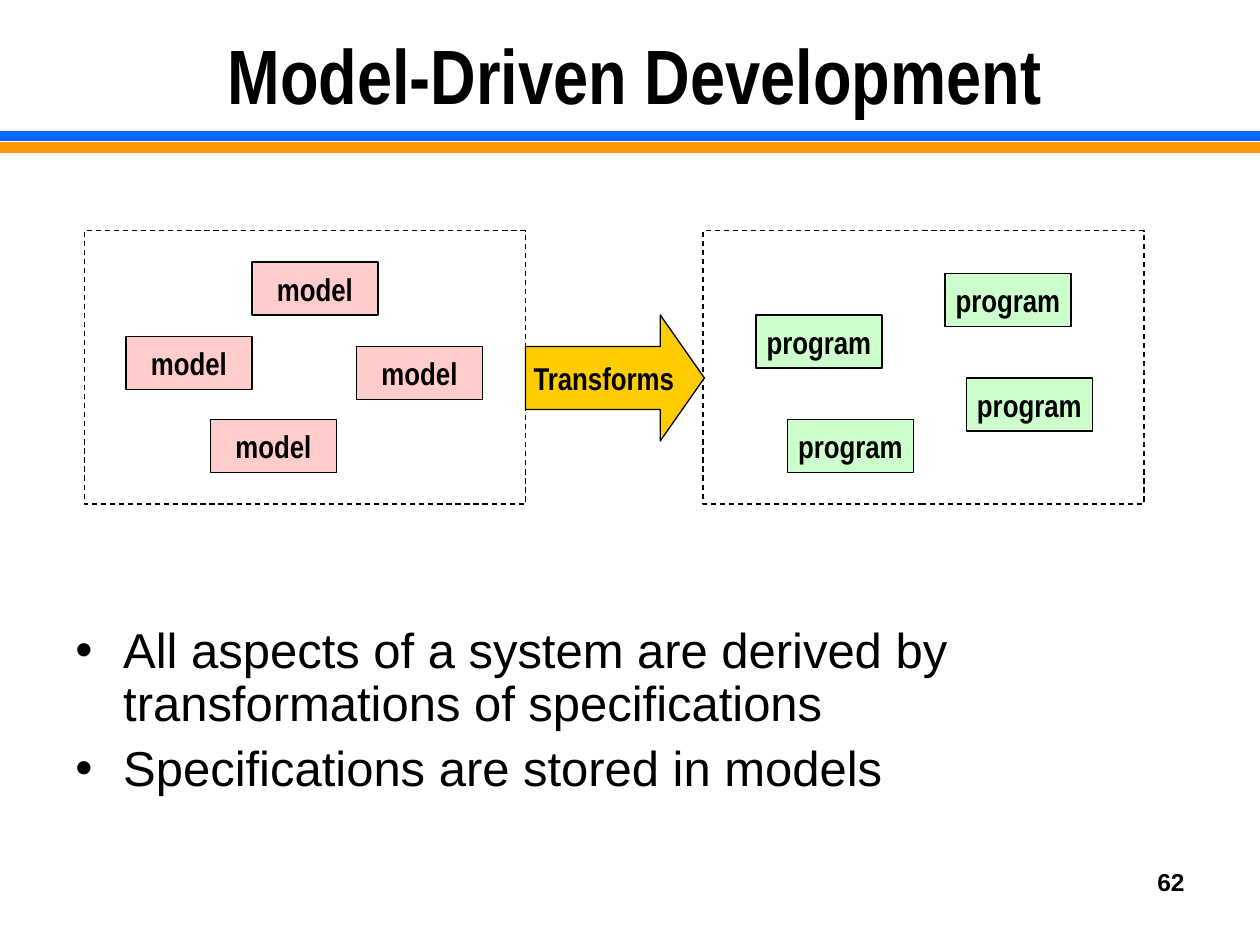
from typing import NamedTuple

from lxml import etree
from pptx import Presentation
from pptx.dml.color import RGBColor
from pptx.enum.dml import MSO_LINE
from pptx.enum.shapes import MSO_CONNECTOR, MSO_SHAPE
from pptx.enum.text import MSO_ANCHOR, PP_ALIGN
from pptx.oxml.ns import qn
from pptx.util import Inches, Pt

RECT, ARROW = MSO_SHAPE.RECTANGLE, MSO_SHAPE.RIGHT_ARROW
LINE, DASH = MSO_CONNECTOR.STRAIGHT, MSO_LINE.DASH
TOP, MIDDLE = MSO_ANCHOR.TOP, MSO_ANCHOR.MIDDLE
LEFT, CENTER, RIGHT = PP_ALIGN.LEFT, PP_ALIGN.CENTER, PP_ALIGN.RIGHT

BLACK, WHITE = "000000", "FFFFFF"
TITLE = {"name": "Arial Narrow", "size": Pt(44), "bold": True}
LABEL = {"name": "Arial Narrow", "size": Pt(18), "bold": True}
BODY = {"name": "Arial", "size": Pt(28), "bold": False}
NUMBER = {"name": "Arial", "size": Pt(14), "bold": True}


class Box(NamedTuple):
    x: float
    y: float
    w: float
    h: float


class Group(NamedTuple):
    frame: Box
    label: str
    fill: str
    spots: list[tuple[float, float]]


class Stripe(NamedTuple):
    y: float
    color: str


STRIPES = [Stripe(1.17, "FF9900"), Stripe(1.08, "0066FF")]
GROUPS = [
    Group(Box(0.67, 1.83, 3.5, 2.17), "model", "FFCCCC",
          [(2, 2.08), (1, 2.67), (2.83, 2.75), (1.67, 3.33)]),
    Group(Box(5.58, 1.83, 3.5, 2.17), "program", "CCFFCC",
          [(7.5, 2.17), (6, 2.5), (7.67, 3), (6.25, 3.33)]),
]
POINTS = [
    "All aspects of a system are derived by transformations of specifications",
    "Specifications are stored in models",
]


def rgb(code: str) -> RGBColor:
    return RGBColor.from_string(code)


def place(box: Box) -> list[int]:
    return [Inches(side) for side in box]


def write(para, text: str, style: dict, align=LEFT) -> None:
    para.alignment = align
    run = para.add_run()
    run.text = text
    for key, value in style.items():
        setattr(run.font, key, value)
    run.font.color.rgb = rgb(BLACK)


def add_stripe(slide, stripe: Stripe) -> None:
    y = Inches(stripe.y)
    line = slide.shapes.add_connector(LINE, 0, y, Inches(10), y)
    line.line.color.rgb = rgb(stripe.color)
    line.line.width = Pt(6)
    etree.SubElement(line._element.spPr, qn("a:effectLst"))


def add_shape(slide, kind, box: Box, fill: str, label: str = ""):
    shape = slide.shapes.add_shape(kind, *place(box))
    shape.shadow.inherit = False
    shape.fill.solid()
    shape.fill.fore_color.rgb = rgb(fill)
    shape.line.color.rgb = rgb(BLACK)
    shape.line.width = Pt(0.75)
    if label:
        frame = shape.text_frame
        frame.word_wrap = False
        frame.vertical_anchor = MIDDLE
        write(frame.paragraphs[0], label, LABEL, CENTER)
    return shape


def add_text(slide, box: Box, anchor=TOP):
    frame = slide.shapes.add_textbox(*place(box)).text_frame
    frame.word_wrap = True
    frame.vertical_anchor = anchor
    return frame


def add_bullet(para) -> None:
    props = para._p.get_or_add_pPr()
    props.set("marL", str(Inches(0.38)))
    props.set("indent", str(-Inches(0.38)))
    etree.SubElement(props, qn("a:buFont"), typeface="Arial")
    etree.SubElement(props, qn("a:buChar"), char="•")


def add_points(slide, box: Box, points: list[str]) -> None:
    frame = add_text(slide, box)
    for i, point in enumerate(points):
        para = frame.add_paragraph() if i else frame.paragraphs[0]
        add_bullet(para)
        para.line_spacing = 0.9
        if i:
            para.space_before = Pt(7)
        write(para, point, BODY)


def add_group(slide, group: Group) -> None:
    add_shape(slide, RECT, group.frame, WHITE).line.dash_style = DASH
    for x, y in group.spots:
        add_shape(slide, RECT, Box(x, y, 1, 0.42), group.fill, group.label)


def main() -> None:
    deck = Presentation()
    deck.slide_width, deck.slide_height = Inches(10), Inches(7.5)
    slide = deck.slides.add_slide(deck.slide_layouts[6])

    # Header
    for stripe in STRIPES:
        add_stripe(slide, stripe)
    title = add_text(slide, Box(0.5, 0.17, 9.08, 0.83), MIDDLE)
    write(title.paragraphs[0], "Model-Driven Development", TITLE, CENTER)

    # Diagram
    for group in GROUPS:
        add_group(slide, group)
    arrow = add_shape(slide, ARROW, Box(4.17, 2.5, 1.42, 1), "FFCC00", "Transforms")
    arrow.adjustments[0] = 0.5
    arrow.adjustments[1] = 0.35

    # Bullets and page number
    add_points(slide, Box(0.5, 4.92, 9, 1.61), POINTS)
    number = add_text(slide, Box(7.17, 6.83, 2.33, 0.52))
    write(number.paragraphs[0], "62", NUMBER, RIGHT)

    deck.save("out.pptx")


if __name__ == "__main__":
    main()
